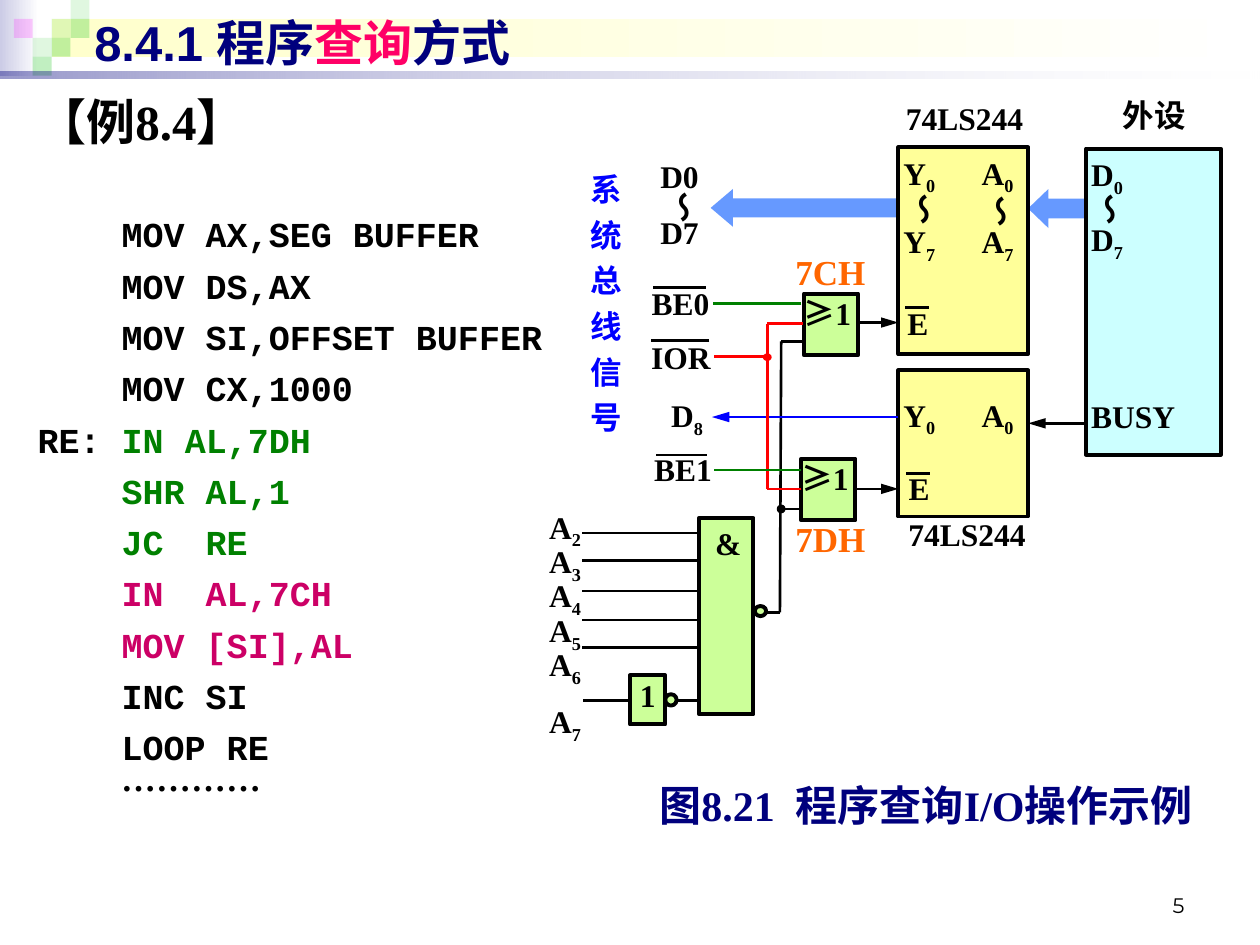
import pptx
import pptx.util
import pptx.dml.color
import pptx.enum.shapes
import pptx.enum.text
import pptx.oxml
import pptx.oxml.ns
from typing import NamedTuple

Pt = pptx.util.Pt
KIND = pptx.enum.shapes.MSO_SHAPE
SIDE = {"l": pptx.enum.text.PP_ALIGN.LEFT, "c": pptx.enum.text.PP_ALIGN.CENTER,
        "r": pptx.enum.text.PP_ALIGN.RIGHT}
HOLD = {"t": pptx.enum.text.MSO_ANCHOR.TOP, "m": pptx.enum.text.MSO_ANCHOR.MIDDLE,
        "b": pptx.enum.text.MSO_ANCHOR.BOTTOM}
SERIF, HAN, MONO = "Times New Roman", "Noto Sans CJK SC", "Courier New"
BLACK, NAVY, GREEN, RED, BLUE = "000000", "00007D", "008000", "FF0000", "0000FF"
ROSE, LIME, CREAM, SKY = "CC0066", "CCFF99", "FFFF99", "6699FF"

deck = pptx.Presentation()
deck.slide_width, deck.slide_height = pptx.util.Inches(10), pptx.util.Inches(7.5)
slide = deck.slides.add_slide(deck.slide_layouts[6])
CELL = deck.slide_width // 1000  # grid of 1000 columns by 750 rows


class Area(NamedTuple):
    col: float
    row: float
    wide: float
    high: float


class Wire(NamedTuple):
    col: float
    row: float
    to_col: float
    to_row: float
    color: str = BLACK
    arrow: bool = False


class Run(NamedTuple):
    text: str
    color: str = ""
    font: str = ""
    gap: float = 0


def grid(*cells: float) -> list:
    return [round(cell * CELL) for cell in cells]


def rgb(code: str):
    return pptx.dml.color.RGBColor.from_string(code)


def node(owner, tag: str, **marks):
    """Append a drawing element with the given attributes."""
    part = pptx.oxml.parse_xml(f"<a:{tag} {pptx.oxml.ns.nsdecls('a')}/>")
    for name, value in marks.items():
        part.set(name, str(value))
    owner.append(part)
    return part


def write(shape, *paras, size=18, color=BLACK, font=SERIF, bold=True, side="l",
          hold="t", inset=(0, 0, 0, 0), before=0, gaps=None, lead=None,
          wrap=True, tab=0, vert=None):
    """Write paragraphs; "_" lowers the next letter, gaps overrides space before."""
    frame = shape.text_frame
    frame.word_wrap, frame.vertical_anchor = wrap, HOLD[hold]
    (frame.margin_left, frame.margin_top,
     frame.margin_right, frame.margin_bottom) = grid(*inset)
    if vert:
        frame._txBody.bodyPr.set("vert", vert)
    for i, runs in enumerate(paras):
        para = frame.paragraphs[0] if i == 0 else frame.add_paragraph()
        para.alignment = SIDE[side]
        if i:
            para.space_before = Pt((gaps or {}).get(i, before))
        if lead:
            para.line_spacing = lead
        if tab:
            stops = node(para._p.get_or_add_pPr(), "tabLst")
            node(stops, "tab", pos=grid(tab)[0], algn="l")
        for run in [Run(runs)] if isinstance(runs, str) else runs:
            head, *rest = run.text.split("_")
            bits = [(head, False)]
            for bit in rest:
                bits += [(bit[0], True), (bit[1:], False)]
            for text, low in bits:
                if not text:
                    continue
                part = para.add_run()
                part.text = text
                part.font.size, part.font.bold = Pt(size), bold
                part.font.color.rgb = rgb(run.color or color)
                part.font.name = run.font or font
                marks = part.font._element
                node(marks, "ea", typeface=HAN)
                if low:
                    marks.set("baseline", "-25000")
                if run.gap:
                    marks.set("spc", str(round(run.gap * 100)))
    return shape


def label(area: Area, *paras, **form):
    return write(slide.shapes.add_textbox(*grid(*area)), *paras, **form)


def block(area: Area, *colors: str, kind=KIND.RECTANGLE, edge="", width=2.25,
          alphas=(), bends=()):
    """Draw a filled shape; two colours make a gradient from left to right."""
    shape = slide.shapes.add_shape(kind, *grid(*area))
    shape.shadow.inherit = False
    if len(colors) > 1:
        shape.fill.gradient()
        shape.fill.gradient_angle = 0
        for stop, code in zip(shape.fill.gradient_stops, colors):
            stop.color.rgb = rgb(code)
    else:
        shape.fill.solid()
        shape.fill.fore_color.rgb = rgb(colors[0])
    tints = list(shape._element.spPr.iter(pptx.oxml.ns.qn("a:srgbClr")))
    for tint, alpha in zip(tints, alphas):
        node(tint, "alpha", val=alpha * 1000)
    for i, bend in enumerate(bends):
        shape.adjustments[i] = bend
    if edge:
        shape.line.color.rgb, shape.line.width = rgb(edge), Pt(width)
    else:
        shape.line.fill.background()
    return shape


def link(wire: Wire):
    line = slide.shapes.add_connector(
        pptx.enum.shapes.MSO_CONNECTOR.STRAIGHT, *grid(*wire[:4]))
    line.line.color.rgb, line.line.width = rgb(wire.color), Pt(1.5)
    if wire.arrow:
        node(line.line._get_or_add_ln(), "tailEnd", type="triangle", w="med", len="lg")
    node(line._element.spPr, "effectLst")


# Header band with its mosaic of small squares
block(Area(0, 0, 31, 60), "CCCCE6", "FFFFFF")
block(Area(41, 15, 955, 30), "FFFFCC", "FFFFFF")
for col, row, code, alpha in [
        (2, 1, "33CC33", 15), (3, 0, "33CC33", 15), (3, 1, "33CC33", 30),
        (1, 2, "33CC33", 15), (0, 1, "FF00FF", 20), (2, 2, "33CC33", 30),
        (1, 3, "33CC33", 30)]:
    block(Area(11 + 15 * col, 15 * row, 15, 15), code, alphas=[alpha])
block(Area(0, 57, 1000, 5), NAVY, "FFFFFF", alphas=[40, 10])

# Page number, title, program listing and caption
PAD = (10, 5, 10, 5)
label(Area(717, 683, 233, 50), "5", size=12, font="Montserrat", bold=False,
      side="r", hold="b", inset=PAD)
label(Area(65, 5, 900, 57), [Run("8.4.1 程序"), Run("查询", "FF0066"), Run("方式")],
      size=28, font="Arial", color=NAVY, hold="m", inset=PAD)
label(Area(20, 68, 457, 60), "【例8.4】", size=28, inset=PAD)
label(Area(20, 164, 457, 518),
      "    MOV AX,SEG BUFFER", "    MOV DS,AX", "    MOV SI,OFFSET BUFFER",
      "    MOV CX,1000", [Run("RE: "), Run("IN AL,7DH", GREEN)],
      [Run("    SHR AL,1", GREEN)], [Run("    JC  RE", GREEN)],
      [Run("    IN  AL,7CH", ROSE)], [Run("    MOV [SI],AL", ROSE)],
      "    INC SI", "    LOOP RE", [Run("    "), Run("…………", font=HAN)],
      size=20, font=MONO, inset=PAD, before=5.3, gaps={11: 0})
write(block(Area(482, 619, 506, 40), "FFFFFF"),
      [Run("图8.21"), Run(" ", gap=6), Run("程序查询I/O操作示例")],
      size=24, color=NAVY, side="c")

# Data bus arrows
block(Area(816, 150, 46, 31), SKY, kind=KIND.LEFT_ARROW, bends=(0.5, 0.52))
block(Area(564, 150, 148, 30), SKY, kind=KIND.LEFT_ARROW, bends=(0.5, 0.59))

# Device, buffers and gates
CHIP = (4, 5, 1, 1)
write(block(Area(862, 118, 107, 243), "CCFFFF", edge=BLACK), "D_0", "D_7", "BUSY",
      inset=(4, 5, 4, 5), before=12.5, gaps={2: 77})
write(block(Area(713, 294, 103, 116), CREAM, edge=BLACK), "Y_0\tA_0",
      inset=(4, 20, 1, 1), tab=62)
write(block(Area(713, 117, 103, 164), CREAM, edge=BLACK), "Y_0\tA_0", "Y_7\tA_7",
      inset=CHIP, before=14.5, tab=62)
write(block(Area(555, 411, 43, 156), LIME, edge=BLACK), "&", side="c", inset=CHIP)
for col, row in [(638, 233), (636, 364)]:
    write(block(Area(col, row, 43, 49), LIME, edge=BLACK),
          [Run("≥", font=HAN), Run("1")])
write(block(Area(500, 536, 28, 39), LIME, edge=BLACK), "1", side="c", hold="m", lead=0.64)

# Inverter bubbles and wire joints
ROUND = KIND.FLOWCHART_CONNECTOR
for area in [Area(528, 551, 9, 9), Area(599, 481, 9, 8)]:
    block(area, LIME, kind=ROUND, edge=BLACK)
for area, code in [(Area(617, 401, 6, 6), BLACK), (Area(606, 281, 6, 5), RED)]:
    block(area, code, kind=ROUND, edge=code, width=0.75)

# Signal and chip names
label(Area(419, 406, 42, 172), *[f"A_{n}" for n in range(2, 8)],
      side="r", lead=0.8, gaps={5: 13})
label(Area(891, 76, 50, 30), "外设", side="c", wrap=False)
label(Area(469, 135, 25, 256), *"系统总线信号", color=BLUE, side="c", before=4.5)
label(Area(524, 125, 31, 86), "D0", "D7", before=10.4, wrap=False)
label(Area(520, 314, 38, 32), "D_8", side="r")
for col, row in [(865, 154), (527, 152), (779, 155), (718, 154)]:
    label(Area(col, row, 32, 25), "～", vert="eaVert", inset=(0, 0, 2, 0), wrap=False)
for col, row, name in [(509, 224, "BE0"), (510, 267, "IOR"), (511, 356, "BE1")]:
    label(Area(col, row, 54, 32), name, side="r", hold="m")
for col, row in [(708, 371), (707, 240)]:
    label(Area(col, row, 43, 33), "E", side="c", hold="m")
label(Area(719, 411, 95, 31), "74LS244", side="r", hold="m", lead=0.8)
label(Area(717, 84, 95, 31), "74LS244", side="r", lead=0.8)
for row, port in [(194, "7CH"), (406, "7DH")]:
    label(Area(600, row, 118, 43), port, size=20, color="FF6600", side="c", inset=PAD)

# Wires, then the bars over active-low names
for wire in [
        Wire(619, 486, 620, 271), Wire(637, 271, 620, 271),
        Wire(636, 404, 619, 404), Wire(619, 486, 608, 486),
        Wire(861, 336, 816, 336, arrow=True), Wire(681, 256, 713, 256, arrow=True),
        Wire(679, 388, 713, 388, arrow=True), Wire(713, 331, 565, 331, BLUE, True),
        Wire(609, 257, 609, 388, RED), Wire(609, 283, 567, 283, RED),
        Wire(637, 257, 609, 257, RED), Wire(636, 388, 609, 388, RED),
        Wire(636, 241, 566, 241, GREEN), Wire(636, 373, 567, 373, GREEN),
        Wire(555, 556, 537, 556), Wire(499, 556, 463, 556),
        *[Wire(555, row, 462, row) for row in (423, 445, 469, 492, 514)],
        Wire(560, 228, 518, 228), Wire(563, 270, 517, 270), Wire(561, 361, 521, 361),
        Wire(738, 376, 719, 376), Wire(737, 244, 718, 244)]:
    link(wire)

deck.save("out.pptx")
